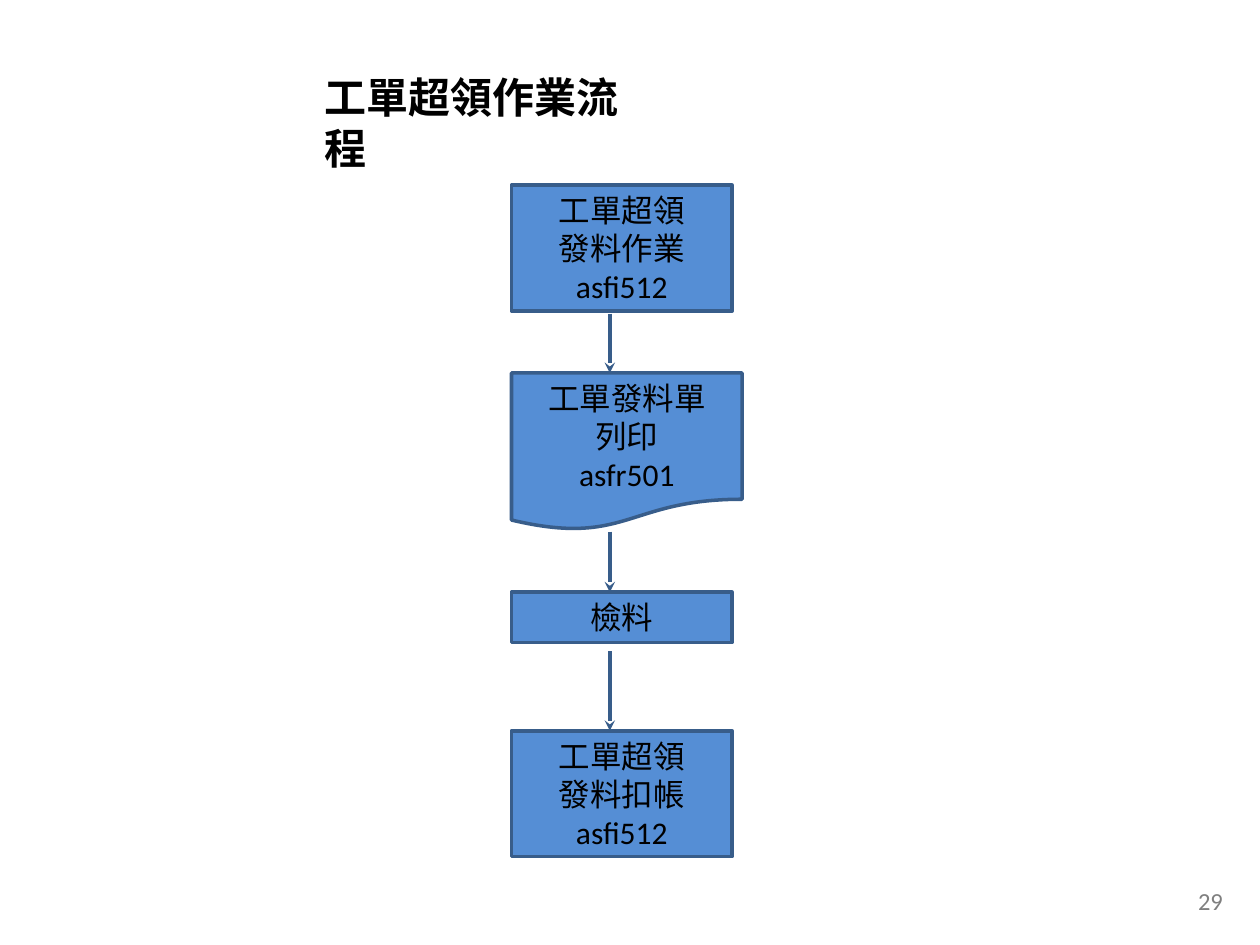
from lxml import etree
from pptx import Presentation
from pptx import util as u
from pptx.dml.color import RGBColor
from pptx.enum import shapes, text
from pptx.oxml.ns import qn

LATIN = "Calibri"
CJK = "Noto Sans CJK TC"


def colour(value):
    return RGBColor.from_string(value)


class FlowPage:
    fill = "558ED5"
    line = "385D8A"
    ink = "000000"
    grey = "7F7F7F"
    line_width = 2

    def __init__(self, page):
        self.page = page

    def style_text(self, frame, size, font, ink, bold=False, align=None):
        for para in frame.paragraphs:
            para.alignment = align
            for span in para.runs:
                span.font.size = u.Pt(size)
                span.font.bold = bold
                span.font.name = font
                span.font.color.rgb = colour(ink)
                east_asian = etree.SubElement(span.font._element, qn("a:ea"))
                east_asian.set("typeface", CJK)

    def style_line(self, line):
        line.color.rgb = colour(self.line)
        line.width = u.Pt(self.line_width)

    def label(self, words, left, top, width, height, size, font, ink, bold=False, wrap=True):
        box = self.page.shapes.add_textbox(
            u.Inches(left), u.Inches(top), u.Inches(width), u.Inches(height))
        box.text_frame.word_wrap = wrap
        box.text_frame.text = words
        self.style_text(box.text_frame, size, font, ink, bold, text.PP_ALIGN.LEFT)

    def step(self, kind, words, left, top, width, height):
        box = self.page.shapes.add_shape(
            kind, u.Inches(left), u.Inches(top), u.Inches(width), u.Inches(height))
        box.shadow.inherit = False
        box.fill.solid()
        box.fill.fore_color.rgb = colour(self.fill)
        self.style_line(box.line)
        frame = box.text_frame
        frame.word_wrap = True
        frame.vertical_anchor = text.MSO_ANCHOR.MIDDLE
        frame.text = words
        self.style_text(frame, 18, LATIN, self.ink, align=text.PP_ALIGN.CENTER)

    def arrow(self, x, top, bottom):
        arrow = self.page.shapes.add_connector(
            shapes.MSO_CONNECTOR.STRAIGHT,
            u.Inches(x), u.Inches(top), u.Inches(x), u.Inches(bottom))
        self.style_line(arrow.line)
        properties = arrow._element.spPr
        head = etree.SubElement(properties.find(qn("a:ln")), qn("a:tailEnd"))
        head.set("type", "stealth")
        etree.SubElement(properties, qn("a:effectLst"))


def main():
    deck = Presentation()
    deck.slide_width = u.Inches(10)
    deck.slide_height = u.Inches(7.5)
    flow = FlowPage(deck.slides.add_slide(deck.slide_layouts[6]))

    # Title
    flow.label("工單超領作業流程", 2.48, 0.52, 2.86, 0.5, 24, CJK, flow.ink, bold=True, wrap=False)

    # Steps, sharing one left edge
    process = shapes.MSO_SHAPE.RECTANGLE
    document = shapes.MSO_SHAPE.FLOWCHART_DOCUMENT
    steps = [
        (process, "工單超領\n發料作業\nasfi512", 1.47, 1.75, 1),
        (document, "工單發料單\n列印\nasfr501", 2.96, 1.83, 1.25),
        (process, "檢料", 4.7, 1.75, 0.4),
        (process, "工單超領\n發料扣帳\nasfi512", 5.8, 1.75, 1),
    ]
    for kind, words, top, width, height in steps:
        flow.step(kind, words, 4.06, top, width, height)

    # Arrows, each ending at the top of the next step
    for start, following in zip((2.49, 4.22, 5.17), steps[1:]):
        flow.arrow(4.84, start, following[2])

    # Page number
    flow.label("29", 9.41, 6.98, 0.59, 0.27, 14, LATIN, flow.grey)

    deck.save("out.pptx")


if __name__ == "__main__":
    main()
